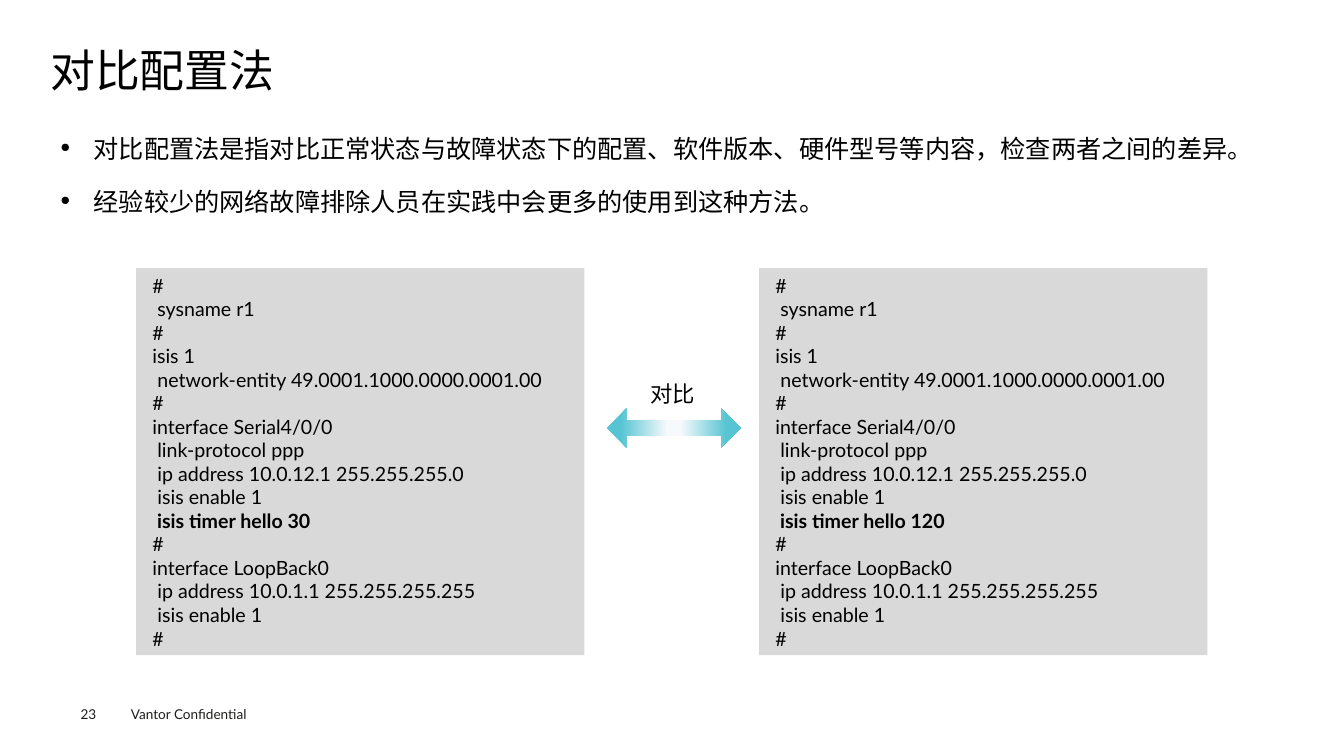
from dataclasses import dataclass

from lxml import etree
from pptx import Presentation
from pptx.dml.color import RGBColor
from pptx.enum.shapes import MSO_SHAPE
from pptx.enum.text import MSO_ANCHOR, PP_ALIGN
from pptx.oxml.ns import qn
from pptx.util import Cm, Pt

RECTANGLE = MSO_SHAPE.RECTANGLE
LEFT_ARROW, RIGHT_ARROW = MSO_SHAPE.LEFT_ARROW, MSO_SHAPE.RIGHT_ARROW
TOP, MIDDLE = MSO_ANCHOR.TOP, MSO_ANCHOR.MIDDLE
LEFT, CENTER, JUSTIFY = PP_ALIGN.LEFT, PP_ALIGN.CENTER, PP_ALIGN.JUSTIFY

FONT = "Lato"
BLACK, FOOTER_GRAY, PANEL_GRAY = "000000", "1D1D1B", "D9D9D9"
ARROW_PALE, ARROW_TEAL = "F7FAFD", "56C4D2"
NO_INSETS = (0, 0, 0, 0)
DEFAULT_INSETS = (0.25, 0.13, 0.25, 0.13)


@dataclass
class Label:
    lines: list[str]
    left: float
    top: float
    width: float
    height: float
    size: float
    color: str = BLACK
    insets: tuple = DEFAULT_INSETS
    align: PP_ALIGN = LEFT
    line_spacing: float = 1.0
    space_before: float = 0
    bulleted: bool = False


@dataclass
class ConfigPanel:
    left: float
    hello_timer: int


@dataclass
class Arrow:
    preset: MSO_SHAPE
    left: float
    stops: list[tuple[float, str]]


LABELS = [
    Label(["Vantor Confidential"], 3.05, 17.65, 4.06, 0.69, 9.7, FOOTER_GRAY),
    Label(["23"], 2.03, 17.78, 1.4, 0.41, 9.7, FOOTER_GRAY, NO_INSETS),
    Label(["对比配置法"], 1.27, 1.24, 31.37, 1.35, 32, insets=NO_INSETS, line_spacing=0.9),
    Label(
        [
            "对比配置法是指对比正常状态与故障状态下的配置、软件版本、硬件型号等内容，检查两者之间的差异。",
            "经验较少的网络故障排除人员在实践中会更多的使用到这种方法。",
        ],
        1.27, 2.92, 31.37, 13.56, 18,
        align=JUSTIFY, line_spacing=1.4, space_before=7.9, bulleted=True,
    ),
    Label(["对比"], 15.54, 9.45, 2.84, 0.94, 16, align=CENTER),
]
PANELS = [ConfigPanel(3.43, 30), ConfigPanel(19.13, 120)]
ARROWS = [
    Arrow(RIGHT_ARROW, 16.87, [(0.15, ARROW_PALE), (0.81, ARROW_TEAL)]),
    Arrow(LEFT_ARROW, 15.29, [(0.19, ARROW_TEAL), (0.85, ARROW_PALE)]),
]
CONFIG = """#
 sysname r1
#
isis 1
 network-entity 49.0001.1000.0000.0001.00
#
interface Serial4/0/0
 link-protocol ppp
 ip address 10.0.12.1 255.255.255.0
 isis enable 1
 isis timer hello {timer}
#
interface LoopBack0
 ip address 10.0.1.1 255.255.255.255
 isis enable 1
#"""


def rgb(color: str) -> RGBColor:
    return RGBColor.from_string(color)


def set_frame(frame, insets: tuple, anchor: MSO_ANCHOR) -> None:
    frame.word_wrap = True
    frame.vertical_anchor = anchor
    frame.margin_left, frame.margin_top, frame.margin_right, frame.margin_bottom = map(Cm, insets)


def set_font(paragraph, size: float, color: str, bold: bool = False) -> None:
    font = paragraph.font
    font.name, font.size, font.bold = FONT, Pt(size), bold
    font.color.rgb = rgb(color)


def set_indent(paragraph, margin: float, first_line: float = 0):
    properties = paragraph._p.get_or_add_pPr()
    properties.set("marL", str(Cm(margin)))
    properties.set("indent", str(Cm(first_line)))
    return properties


def add_bullet(paragraph) -> None:
    properties = set_indent(paragraph, 0.84, -0.84)
    etree.SubElement(properties, qn("a:buSzPct")).set("val", "50000")
    etree.SubElement(properties, qn("a:buChar")).set("char", "●")


def add_label(slide, label: Label) -> None:
    box = slide.shapes.add_textbox(
        Cm(label.left), Cm(label.top), Cm(label.width), Cm(label.height))
    frame = box.text_frame
    set_frame(frame, label.insets, TOP)
    frame.text = "\n".join(label.lines)
    for index, paragraph in enumerate(frame.paragraphs):
        if label.bulleted:
            add_bullet(paragraph)
        paragraph.alignment = label.align
        paragraph.line_spacing = label.line_spacing
        paragraph.space_before = Pt(label.space_before if index else 0)
        set_font(paragraph, label.size, label.color)


def add_panel(slide, panel: ConfigPanel) -> None:
    shape = slide.shapes.add_shape(
        RECTANGLE, Cm(panel.left), Cm(6.76), Cm(11.3), Cm(9.75))
    shape.shadow.inherit = False
    shape.fill.solid()
    shape.fill.fore_color.rgb = rgb(PANEL_GRAY)
    shape.line.fill.background()
    frame = shape.text_frame
    set_frame(frame, NO_INSETS, MIDDLE)
    frame.text = CONFIG.format(timer=panel.hello_timer)
    for paragraph in frame.paragraphs:
        set_indent(paragraph, 0.41)
        paragraph.alignment = LEFT
        set_font(paragraph, 14, BLACK, bold="timer" in paragraph.text)


def add_arrow(slide, arrow: Arrow) -> None:
    shape = slide.shapes.add_shape(
        arrow.preset, Cm(arrow.left), Cm(10.29), Cm(1.8), Cm(0.99))
    shape.adjustments[0], shape.adjustments[1] = 0.4, 0.5
    shape.shadow.inherit = False
    shape.line.fill.background()
    shape.fill.gradient()
    shape.fill.gradient_angle = 0
    for stop, (position, color) in zip(shape.fill.gradient_stops, arrow.stops):
        stop.position = position
        stop.color.rgb = rgb(color)


def main() -> None:
    presentation = Presentation()
    presentation.slide_width, presentation.slide_height = Cm(33.87), Cm(19.05)
    slide = presentation.slides.add_slide(presentation.slide_layouts[6])

    # Configurations under comparison
    for panel in PANELS:
        add_panel(slide, panel)

    # Double arrow between the panels
    for arrow in ARROWS:
        add_arrow(slide, arrow)

    # Title, bullets, arrow caption and footer
    for label in LABELS:
        add_label(slide, label)

    presentation.save("out.pptx")


if __name__ == "__main__":
    main()
